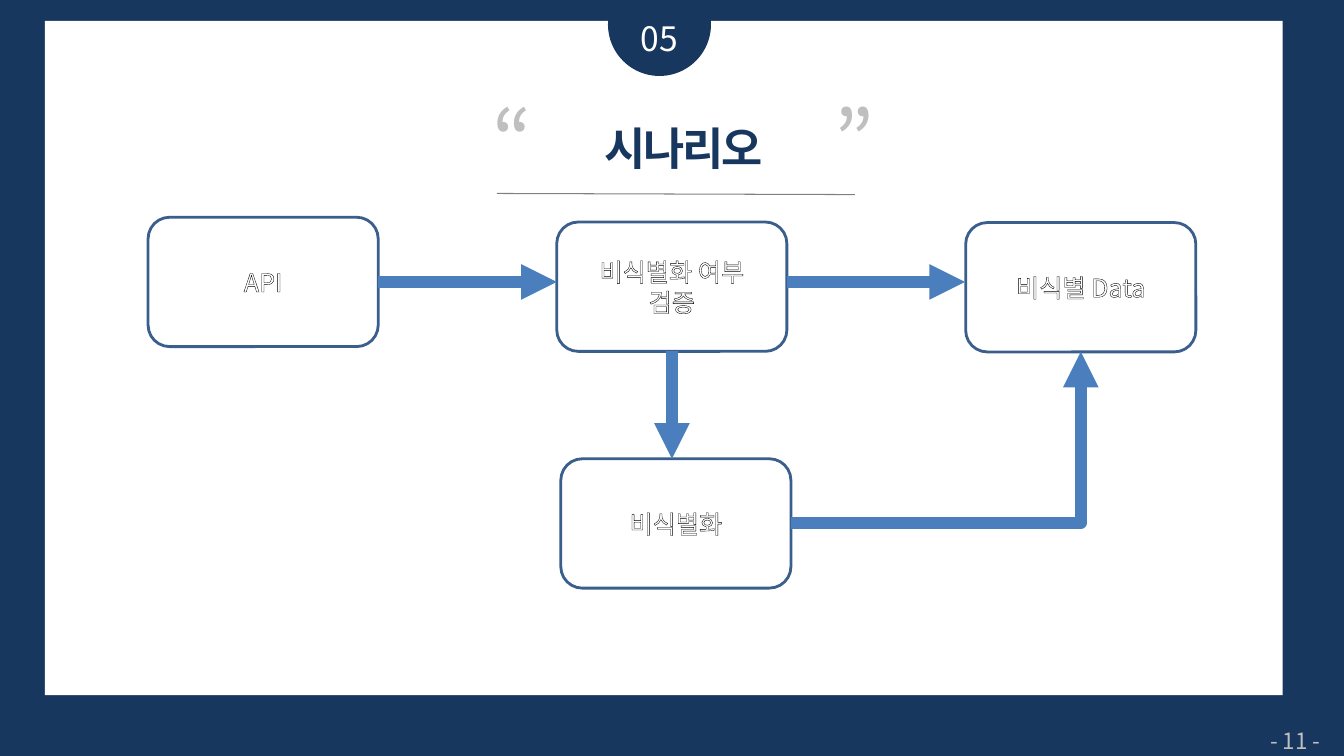
"""Build the scenario slide: a de-identification flow from API to data."""
from lxml.etree import SubElement
from pptx import Presentation
from pptx.dml.color import RGBColor as Rgb
from pptx.enum.shapes import MSO_CONNECTOR as Connector, MSO_SHAPE as Shape
from pptx.enum.text import MSO_ANCHOR as Anchor, PP_ALIGN as Align
from pptx.oxml import parse_xml
from pptx.oxml.ns import nsdecls, qn
from pptx.util import Pt

COLORS = {"navy": "17375E", "white": "FFFFFF", "silver": "BFBFBF",
          "rule": "808080", "border": "3A5F8C", "arrow": "4B7EBC"}
COLORS = {name: Rgb.from_string(value) for name, value in COLORS.items()}
FONT = "Noto Sans CJK KR"
BOX_WIDTH, BOX_HEIGHT = 164.4, 92.4


def write(shape, text, size, color, align=Align.CENTER):
    frame = shape.text_frame
    frame.word_wrap = True
    frame.text = text
    spans = []
    for para in frame.paragraphs:
        para.alignment = align
        for span in para.runs:
            span.font.size = Pt(size)
            span.font.name = FONT
            span.font.color.rgb = COLORS[color]
            SubElement(span.font._element, qn("a:ea"), typeface=FONT)
            spans.append(span)
    return spans


def connect(kind, points, color, width):
    line = slide.shapes.add_connector(kind, *[Pt(value) for value in points])
    line.line.color.rgb = COLORS[color]
    line.line.width = Pt(width)
    SubElement(line._element.spPr, qn("a:effectLst"))
    return line


deck = Presentation()
deck.slide_width, deck.slide_height = Pt(960), Pt(540)
slide = deck.slides.add_slide(deck.slide_layouts[6])
slide.background.fill.solid()
slide.background.fill.fore_color.rgb = COLORS["navy"]

for kind, place, color in [
    (Shape.RECTANGLE, (32, 15, 884.3, 481.5), "white"),
    (Shape.OVAL, (434.3, -19.3, 73.6, 73.6), "navy"),
]:
    panel = slide.shapes.add_shape(kind, *[Pt(value) for value in place])
    panel.shadow.inherit = False
    panel.fill.solid()
    panel.fill.fore_color.rgb = COLORS[color]
    panel.line.fill.background()

for text, place, size, color, align in [
    ("05", (428.4, 9.4, 85, 36), 24, "white", Align.CENTER),
    ("- 11 -", (814.3, 515.5, 136, 26.6), 16, "silver", Align.RIGHT),
    ("\u201c", (330, 59.8, 72, 80), 60, "silver", Align.CENTER),
    ("\u201d", (574, 59.8, 72, 80), 60, "silver", Align.CENTER),
    ("시나리오", (326.9, 82.8, 323.3, 46), 32, "navy", Align.CENTER),
]:
    label = slide.shapes.add_textbox(*[Pt(value) for value in place])
    spans = write(label, text, size, color, align)
title_font = spans[0].font
title_font.bold = True
title_font._element.set("spc", "-150")

connect(Connector.STRAIGHT, (355, 138.2, 610.6, 139), "rule", 0.75)

for text, left, top in [
    ("API", 105.8, 155.2),
    ("비식별화 여부\n검증", 397.7, 158.6),
    ("비식별화", 400.6, 327.7),
    ("비식별 Data", 689.8, 159),
]:
    box = slide.shapes.add_shape(Shape.ROUNDED_RECTANGLE, Pt(left), Pt(top),
                                 Pt(BOX_WIDTH), Pt(BOX_HEIGHT))
    box.shadow.inherit = False
    box.fill.background()
    box.line.color.rgb = COLORS["border"]
    box.line.width = Pt(2)
    box.text_frame.vertical_anchor = Anchor.MIDDLE
    for span in write(box, text, 18, "white"):
        outline = parse_xml(
            f'<a:ln {nsdecls("a")} w="9525"><a:solidFill>'
            '<a:srgbClr val="000000"/></a:solidFill></a:ln>')
        span.font._element.insert(0, outline)

for kind, points in [
    (Connector.STRAIGHT, (270.2, 201.4, 397.7, 201.4)),
    (Connector.STRAIGHT, (561.8, 201.4, 689.3, 201.4)),
    (Connector.STRAIGHT, (480, 250.8, 480, 327.7)),
    (Connector.ELBOW, (565.2, 373.6, 772, 251.3)),
]:
    arrow = connect(kind, points, "arrow", 8.5)
    SubElement(arrow.line._get_or_add_ln(), qn("a:tailEnd"), type="triangle")
    if kind == Connector.ELBOW:
        arrow._element.spPr.find(qn("a:prstGeom")).set("prst", "bentConnector2")

deck.save("out.pptx")
